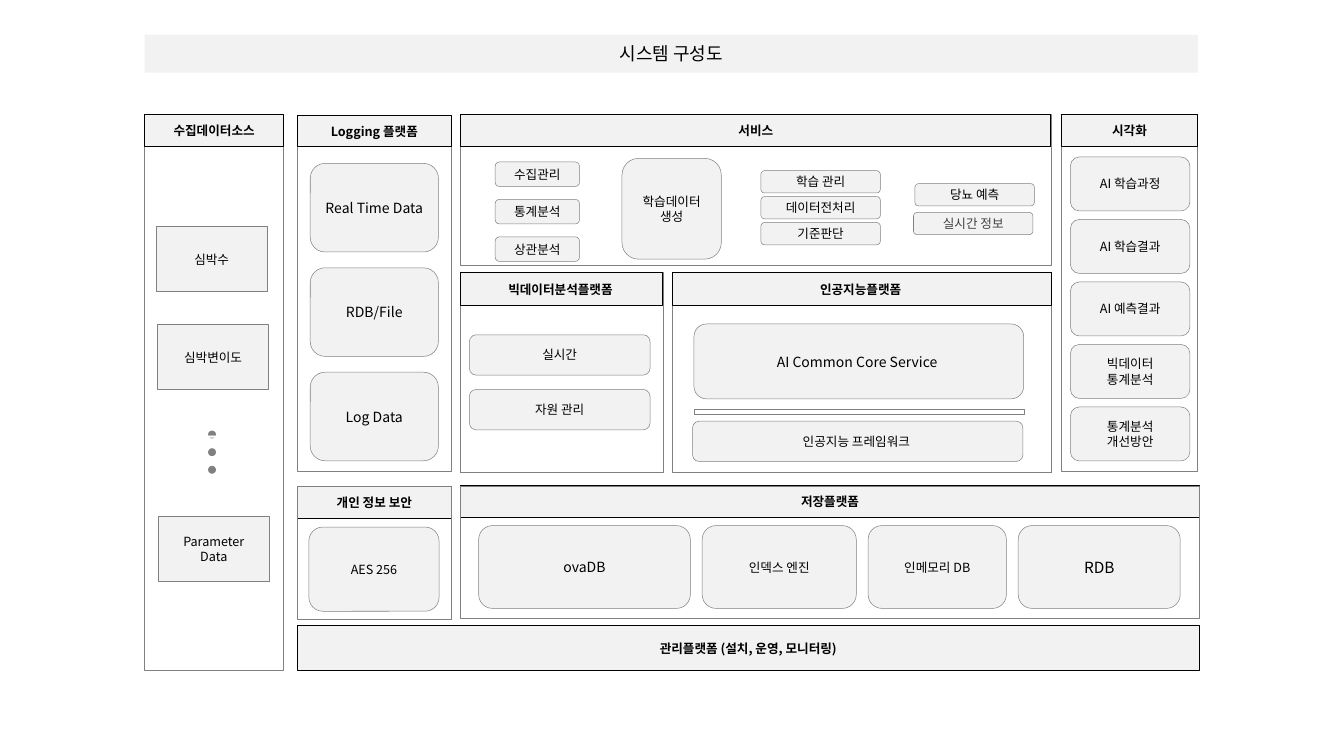
from dataclasses import dataclass

from lxml import etree
from pptx import Presentation
from pptx.dml.color import RGBColor
from pptx.enum.shapes import MSO_SHAPE
from pptx.enum.text import MSO_ANCHOR, MSO_AUTO_SIZE, PP_ALIGN
from pptx.oxml.ns import qn
from pptx.util import Inches, Pt

RECT = MSO_SHAPE.RECTANGLE
ROUND = MSO_SHAPE.ROUNDED_RECTANGLE
OVAL = MSO_SHAPE.OVAL
CENTER = PP_ALIGN.CENTER
MIDDLE = MSO_ANCHOR.MIDDLE
NO_FIT = MSO_AUTO_SIZE.NONE

FONT = "Noto Sans CJK KR"
BLACK, DARK, GRAY, PALE, WHITE = "000000", "404040", "808080", "F2F2F2", "FFFFFF"
CELL = Inches(0.1)  # side of one grid cell: all places are columns and rows
TOP_ROW, HEAD_ROWS = 15.9, 4.5
STORE_GAP = 1.65


@dataclass
class Area:
    left: float
    top: float
    width: float
    height: float


@dataclass
class Panel:
    title: str
    area: Area
    head: float = HEAD_ROWS
    frame_last: bool = False


@dataclass
class Stack:
    """Equal boxes below each other; area is the first one."""
    labels: list[str]
    area: Area
    pitch: float = 0
    size: float = 12.6
    color: str = BLACK


def paint(format_part, color: str) -> None:
    format_part.solid()
    format_part.fore_color.rgb = RGBColor.from_string(color)


def write(box, label: str, size: float, color: str = BLACK,
          bold: bool = False, font: str = FONT, inset: float = 0) -> None:
    frame = box.text_frame
    settings = {"text": label, "word_wrap": True, "auto_size": NO_FIT,
                "vertical_anchor": MIDDLE, "margin_left": inset,
                "margin_right": inset, "margin_top": 0, "margin_bottom": 0}
    for name, value in settings.items():
        setattr(frame, name, value)
    for para in frame.paragraphs:
        para.alignment = CENTER
        for span in para.runs:
            for name, value in {"name": font, "size": Pt(size), "bold": bold}.items():
                setattr(span.font, name, value)
            paint(span.font.fill, color)
            east_asian = etree.SubElement(span.font._element, qn("a:ea"))
            east_asian.set("typeface", FONT)


def place(box, area: Area) -> None:
    for name in ("left", "top", "width", "height"):
        setattr(box, name, round(getattr(area, name) * CELL))


def draw(page, kind, area: Area, fill: str = "", line: str = GRAY, weight: float = 0.75):
    box = page.shapes.add_shape(kind, 0, 0, 0, 0)
    place(box, area)
    box.shadow.inherit = False
    if fill:
        paint(box.fill, fill)
    else:
        box.fill.background()
    if line:
        paint(box.line.fill, line)
        box.line.width = Pt(weight)
    else:
        box.line.fill.background()
    return box


def draw_head(page, title: str, area: Area) -> None:
    write(draw(page, RECT, area, PALE, BLACK, 1), title, 12.6, bold=True)


def draw_panel(page, panel: Panel) -> None:
    area = panel.area
    head = Area(area.left, area.top, area.width, panel.head)
    if panel.frame_last:
        draw_head(page, panel.title, head)
        draw(page, RECT, area)
    else:
        draw(page, RECT, area)
        draw_head(page, panel.title, head)


def draw_stack(page, stack: Stack, kind=ROUND, weight: float = 0.5) -> None:
    first = stack.area
    for index, label in enumerate(stack.labels):
        area = Area(first.left, first.top + index * stack.pitch, first.width, first.height)
        write(draw(page, kind, area, PALE, GRAY, weight), label, stack.size, stack.color)


PANELS = [
    Panel("수집데이터소스", Area(20.1, TOP_ROW, 19.3, 77.2)),
    Panel("Logging 플랫폼", Area(41.3, 16, 21.4, 49.5), 4.4),
    Panel("서비스", Area(64, TOP_ROW, 82, 21)),
    Panel("시각화", Area(147.4, TOP_ROW, 19, 49.6)),
    Panel("빅데이터분석플랫폼 ", Area(64, 37.8, 28.1, 27.8), 4.7),
    Panel("인공지능플랫폼 ", Area(93.4, 37.9, 52.7, 27.7), 4.6),
    Panel("개인 정보 보안", Area(41.3, 67.6, 21.4, 18.4), 4.4, True),
    Panel("저장플랫폼", Area(64, 67.5, 102.6, 18.4), 4.4, True),
]

SOURCES = [
    Stack(["심박수"], Area(21.7, 31.5, 15.4, 9)),
    Stack(["심박변이도"], Area(21.9, 45.1, 15.4, 9)),
    Stack(["Parameter\nData"], Area(22, 71.7, 15.4, 9)),
]

STACKS = [
    # Logging and security
    Stack(["Real Time Data", "RDB/File", "Log Data"], Area(43.1, 22.7, 17.8, 12.3), 14.5, 14),
    Stack(["AES 256"], Area(42.9, 73.2, 18.1, 11.7)),
    # Services
    Stack(["수집관리", "통계분석", "상관분석"], Area(68.8, 22.5, 11.7, 3.4), 5.2),
    Stack(["학습데이터\n생성"], Area(86.4, 22, 13.8, 14)),
    Stack(["학습 관리", "데이터전처리", "기준판단"], Area(105.7, 23.7, 16.6, 3.1), 3.6),
    Stack(["당뇨 예측"], Area(127.1, 25.5, 16.6, 3.1)),
    Stack(["실시간 정보"], Area(126.9, 29.5, 16.6, 3.1), color=DARK),
    # Big data and AI
    Stack(["실시간", "자원 관리"], Area(65.2, 46.5, 25.1, 5.6), 7.6),
    Stack(["AI Common Core Service "], Area(96.4, 45, 45.8, 10.4), size=14),
    Stack(["인공지능 프레임워크 "], Area(96.2, 58.5, 45.9, 5.6)),
    # Visualisation
    Stack(["AI 학습과정", "AI 학습결과", "AI 예측결과", "빅데이터\v통계분석", "통계분석\n개선방안"],
          Area(148.7, 21.8, 16.6, 7.5), 8.68),
]

STORES = [("ovaDB", 29.4, 14), ("인덱스 엔진", 21.4, 12.6),
          ("인메모리 DB", 19.2, 12.6), ("RDB", 22.5, 15.4)]

deck = Presentation()
deck.slide_width, deck.slide_height = Inches(18.67), Inches(10.5)
page = deck.slides.add_slide(deck.slide_layouts[5])

# Title bar
title = page.shapes.title
place(title, Area(20.1, 4.8, 146.3, 5.3))
paint(title.fill, PALE)
write(title, "시스템 구성도", 18, font="Calibri", inset=CELL)

# Panels and the management bar
for panel in PANELS:
    draw_panel(page, panel)
draw_head(page, "관리플랫폼 (설치, 운영, 모니터링)", Area(41.3, 86.9, 125.3, 6.2))

# Boxes inside the panels
for source in SOURCES:
    draw_stack(page, source, RECT, 0.75)
for stack in STACKS:
    draw_stack(page, stack)
draw(page, RECT, Area(96.4, 56.8, 45.9, 0.8))

# Storage row
column = 66.5
for name, width, size in STORES:
    draw_stack(page, Stack([name], Area(column, 73, width, 11.5), size=size))
    column += width + STORE_GAP

# Dots between the data sources
for index in range(3):
    dot = draw(page, OVAL, Area(28.9, 59.8 + index * 2.45, 1.1, 1.1), GRAY, "")
    dot.rotation = 90
    if index == 0:
        write(dot, "ㅁ", 25.2, WHITE, inset=CELL)

deck.save("out.pptx")
